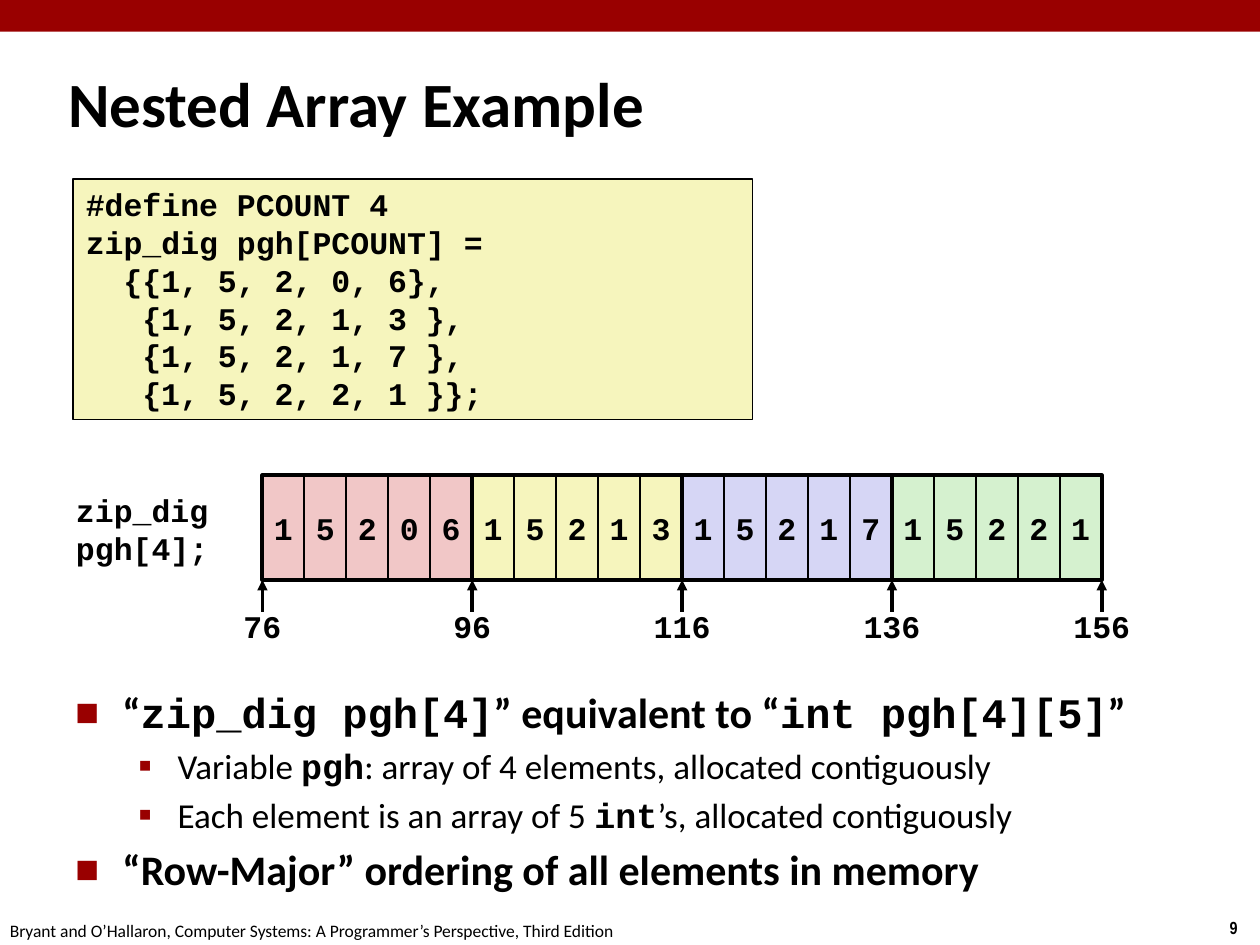
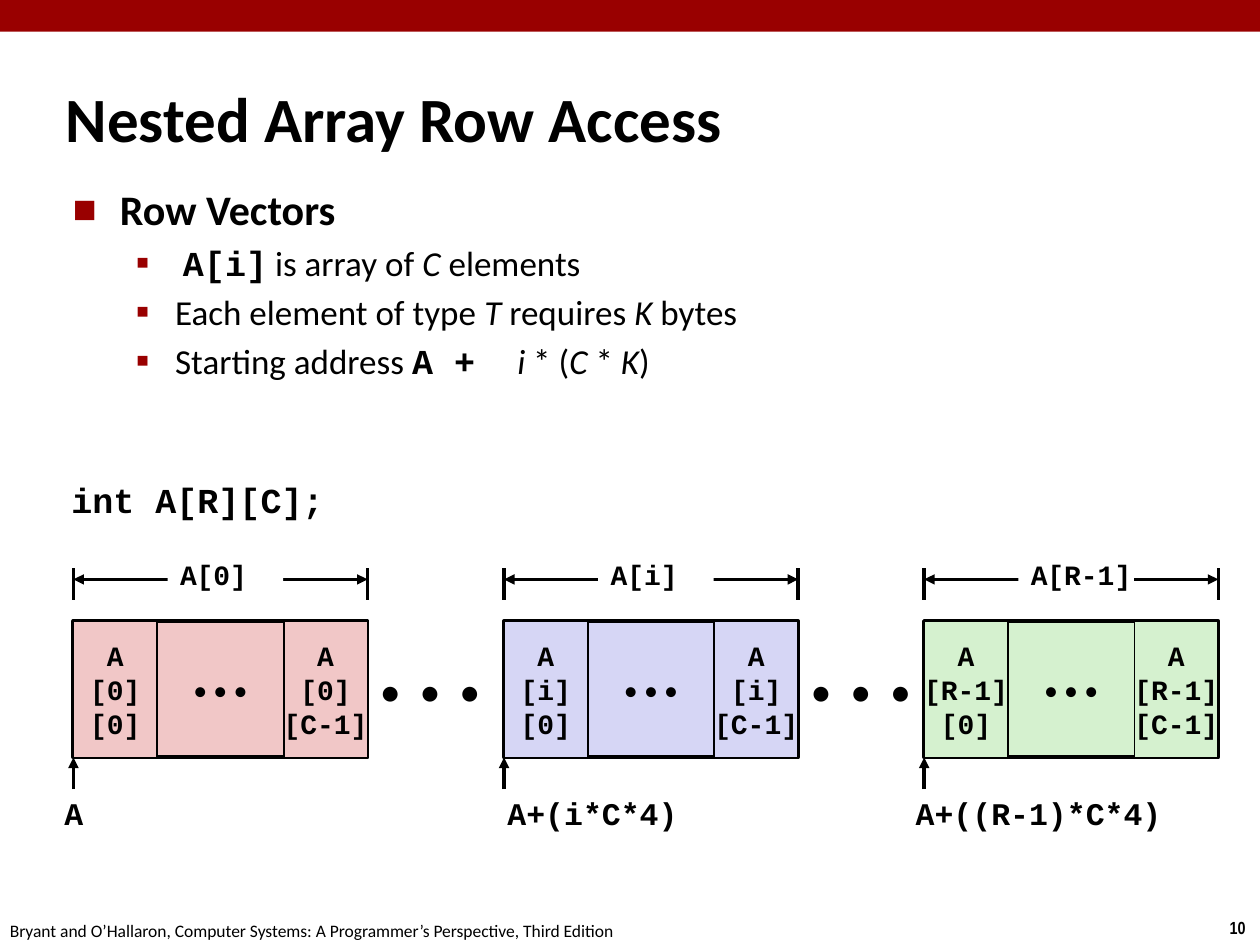
from collections import namedtuple
from dataclasses import dataclass

from lxml.etree import SubElement
from pptx import Presentation
from pptx.dml.color import RGBColor
from pptx.enum.shapes import MSO_CONNECTOR, MSO_SHAPE
from pptx.enum.text import MSO_ANCHOR, MSO_AUTO_SIZE, PP_ALIGN
from pptx.oxml.ns import qn
from pptx.util import Cm, Pt


@dataclass(frozen=True)
class Theme:
    accent: RGBColor = RGBColor(0x99, 0x00, 0x00)
    ink: RGBColor = RGBColor(0x00, 0x00, 0x00)
    paper: RGBColor = RGBColor(0xFF, 0xFF, 0xFF)
    red: RGBColor = RGBColor(0xF1, 0xC7, 0xC7)
    yellow: RGBColor = RGBColor(0xF6, 0xF5, 0xBD)
    blue: RGBColor = RGBColor(0xD6, 0xD6, 0xF5)
    green: RGBColor = RGBColor(0xD5, 0xF1, 0xCF)
    text_font: str = "Calibri"
    code_font: str = "Courier New"
    number_font: str = "Arial Narrow"
    title_size: int = 36
    topic_size: int = 24
    detail_size: int = 20
    code_size: int = 18
    cell_size: int = 16
    footer_size: int = 10
    thin: float = 1
    arrow: float = 2
    thick: float = 2.25


THEME = Theme()
FOOTER = "Bryant and O’Hallaron, Computer Systems: A Programmer’s Perspective, Third Edition"
CODE_CHARACTER = 0.38

Span = namedtuple("Span", "text font bold italic tracking")
BulletStyle = namedtuple("BulletStyle", "size bold margin hanging symbol scale")
BULLETS = [
    BulletStyle(THEME.topic_size, True, 0.95, 0.95, "■", 60),
    BulletStyle(THEME.detail_size, False, 2.06, 0.79, "▪", 110),
]


def plain(text):
    return Span(text, THEME.text_font, False, False, 0)


def italic(text):
    return Span(text, THEME.text_font, False, True, 0)


def code(text, tracking=0):
    return Span(text, THEME.code_font, True, False, tracking)


def style_font(font, name, size, bold=False, italic=False):
    font.name = name
    font.size = Pt(size)
    font.bold = bold
    font.italic = italic
    font.color.rgb = THEME.ink


def track(run, points):
    run._r.get_or_add_rPr().set("spc", str(int(points * 100)))


def write(shape, lines, size, font=THEME.code_font, bold=True,
          align=PP_ALIGN.LEFT, anchor=MSO_ANCHOR.TOP, wrap=False):
    frame = shape.text_frame
    frame.word_wrap = wrap
    frame.auto_size = MSO_AUTO_SIZE.NONE
    frame.vertical_anchor = anchor
    frame.text = "\n".join(lines)
    for paragraph in frame.paragraphs:
        paragraph.alignment = align
        style_font(paragraph.font, font, size, bold)
    return frame


def add_label(slide, left, top, width, height, lines, size, **options):
    box = slide.shapes.add_textbox(Cm(left), Cm(top), Cm(width), Cm(height))
    return write(box, lines, size, **options)


def add_box(slide, left, top, width, height, fill=None, line=None):
    box = slide.shapes.add_shape(
        MSO_SHAPE.RECTANGLE, Cm(left), Cm(top), Cm(width), Cm(height))
    box.shadow.inherit = False
    if fill is None:
        box.fill.background()
    else:
        box.fill.solid()
        box.fill.fore_color.rgb = fill
    if line is None:
        box.line.fill.background()
    else:
        box.line.color.rgb = THEME.ink
        box.line.width = Pt(line)
    return box


def add_cell(slide, left, top, width, height, fill, lines, size):
    cell = add_box(slide, left, top, width, height, fill, THEME.thin)
    write(cell, lines, size, align=PP_ALIGN.CENTER, anchor=MSO_ANCHOR.MIDDLE)


def add_line(slide, start, end, arrows=()):
    line = slide.shapes.add_connector(
        MSO_CONNECTOR.STRAIGHT, *(Cm(value) for value in (*start, *end)))
    line.line.color.rgb = THEME.ink
    line.line.width = Pt(THEME.arrow)
    for arrow in arrows:
        SubElement(line.line._get_or_add_ln(), qn(f"a:{arrow}"), type="triangle")
    SubElement(line._element.spPr, qn("a:effectLst"))


def add_pointer(slide, x, block_bottom):
    add_line(slide, (x, block_bottom + 0.64), (x, block_bottom), ["tailEnd"])


def add_bullet_mark(paragraph, style):
    properties = paragraph._p.get_or_add_pPr()
    properties.set("marL", str(Cm(style.margin)))
    properties.set("indent", str(-Cm(style.hanging)))
    color = SubElement(properties, qn("a:buClr"))
    SubElement(color, qn("a:srgbClr"), val=str(THEME.accent))
    SubElement(properties, qn("a:buSzPct"), val=str(style.scale * 1000))
    SubElement(properties, qn("a:buFont"), typeface=THEME.text_font)
    SubElement(properties, qn("a:buChar"), char=style.symbol)


def add_bullets(slide, left, top, width, height, items):
    box = slide.shapes.add_textbox(Cm(left), Cm(top), Cm(width), Cm(height))
    frame = box.text_frame
    frame.word_wrap = True
    for index, (level, spans) in enumerate(items):
        paragraph = frame.add_paragraph() if index else frame.paragraphs[0]
        style = BULLETS[level]
        paragraph.level = level
        paragraph.space_before = Pt(style.size * 0.2)
        add_bullet_mark(paragraph, style)
        for span in spans:
            run = paragraph.add_run()
            run.text = span.text
            style_font(run.font, span.font, style.size,
                       span.bold or style.bold, span.italic)
            if span.tracking:
                track(run, span.tracking)


def add_titled_slide(presentation, title, left, top, width, number):
    slide = presentation.slides.add_slide(presentation.slide_layouts[5])
    add_box(slide, 0, 0, 25.4, 0.64, THEME.accent)
    add_label(slide, 24.54, 18.36, 0.86, 0.68, [str(number)],
              THEME.footer_size, font=THEME.number_font)
    add_label(slide, -0.05, 18.42, 12.9, 0.68, [FOOTER],
              THEME.footer_size, font=THEME.text_font, bold=False)
    heading = slide.shapes.title
    heading.left, heading.top = Cm(left), Cm(top)
    heading.width, heading.height = Cm(width), Cm(1.6)
    write(heading, [title], THEME.title_size, font=THEME.text_font,
          anchor=MSO_ANCHOR.MIDDLE, wrap=True)
    return slide


def add_code_box(slide, left, top, width, height, indented_lines):
    box = add_box(slide, left, top, width, height, THEME.yellow, THEME.thin)
    frame = write(box, [line for _, line in indented_lines],
                  THEME.code_size, wrap=True)
    for paragraph, (columns, _) in zip(frame.paragraphs, indented_lines):
        margin = Cm(columns * CODE_CHARACTER)
        paragraph._p.get_or_add_pPr().set("marL", str(margin))


def add_memory_strip(slide, rows, first_address):
    left, top, row_width, height = 5.29, 9.58, 4.23, 2.11
    fills = [THEME.red, THEME.yellow, THEME.blue, THEME.green]
    cell_width = row_width / len(rows[0])
    row_lefts = [left + index * row_width for index in range(len(rows) + 1)]
    for row_left, digits, fill in zip(row_lefts, rows, fills):
        for column, digit in enumerate(digits):
            add_cell(slide, row_left + column * cell_width, top, cell_width,
                     height, fill, [digit], THEME.code_size)
    for row_left in row_lefts[:-1]:
        add_box(slide, row_left, top, row_width, height, line=THEME.thick)
    for index, x in enumerate(row_lefts):
        add_pointer(slide, x, top + height)
        add_label(slide, x - 0.83, 12.12, 1.66, 1.02,
                  [str(first_address + 20 * index)], THEME.code_size,
                  align=PP_ALIGN.CENTER)


def add_row_block(slide, left, fill, row):
    top, width, height, cell_width = 12.52, 5.93, 2.75, 1.69
    right = left + width
    block = add_box(slide, left, top, width, height, fill, THEME.thick)
    write(block, ["• • •"], THEME.cell_size, font=THEME.text_font, bold=False,
          align=PP_ALIGN.CENTER, anchor=MSO_ANCHOR.MIDDLE)
    for cell_left, column in ((left, "0"), (right - cell_width, "C-1")):
        add_cell(slide, cell_left, top, cell_width, height, fill,
                 ["A", f"[{row}]", f"[{column}]"], THEME.cell_size)
    for x in (left, right):
        add_line(slide, (x, 11.46), (x, 12.09))
    add_line(slide, (left, 11.68), (right, 11.68), ["headEnd", "tailEnd"])
    name = add_box(slide, left + 1.9, 11.05, 2.33, 1.06, THEME.paper)
    write(name, [f"A[{row}]"], THEME.cell_size, anchor=MSO_ANCHOR.MIDDLE)
    add_pointer(slide, left, top + height)


def add_gap_dots(slide, left):
    frame = add_label(slide, left, 12.52, 2.75, 2.75, ["• • •"],
                      THEME.topic_size, font=THEME.text_font, bold=False,
                      anchor=MSO_ANCHOR.MIDDLE)
    track(frame.paragraphs[0].runs[0], 2.7)


def build_example_slide(presentation):
    slide = add_titled_slide(
        presentation, "Nested Array Example", 1.12, 1.27, 17.7, 9)
    add_code_box(slide, 1.48, 3.61, 13.69, 4.85, [
        (0, "#define PCOUNT 4"),
        (0, "zip_dig pgh[PCOUNT] ="),
        (2, "{{1, 5, 2, 0, 6},"),
        (3, "{1, 5, 2, 1, 3 },"),
        (3, "{1, 5, 2, 1, 7 },"),
        (3, "{1, 5, 2, 2, 1 }};"),
    ])
    add_label(slide, 1.27, 9.78, 3.18, 1.78, ["zip_dig", "pgh[4];"],
              THEME.code_size, align=PP_ALIGN.RIGHT)
    add_memory_strip(slide, ["15206", "15213", "15217", "15221"], 76)
    add_bullets(slide, 1.27, 13.72, 22.23, 5.28, [
        (0, [plain("“"), code("zip_dig pgh[4]"), plain("” equivalent to “"),
             code("int pgh[4][5]"), plain("”")]),
        (1, [plain("Variable "), code("pgh"),
             plain(": array of 4 elements, allocated contiguously")]),
        (1, [plain("Each element is an array of 5 "), code("int"),
             plain("’s, allocated contiguously")]),
        (0, [plain("“Row-Major” ordering of all elements in memory")]),
    ])


def build_row_access_slide(presentation):
    slide = add_titled_slide(
        presentation, "Nested Array Row Access", 1.07, 1.57, 19.25, 10)
    add_bullets(slide, 1.22, 3.58, 16.56, 4.04, [
        (0, [plain("Row Vectors")]),
        (1, [plain(" "), code("A[i]"), plain(" is array of "), italic("C"),
             plain(" elements")]),
        (1, [plain("Each element of type "), italic("T "),
             plain("requires "), italic("K "), plain("bytes")]),
        (1, [plain("Starting address "), code("A +"), code(" ", 12),
             italic("i"), plain(" * ("), italic("C "), plain("* "),
             italic("K"), plain(")")]),
    ])
    add_label(slide, 1.19, 9.53, 5.59, 1.09, ["int A[R][C];"],
              THEME.detail_size, align=PP_ALIGN.RIGHT)
    for left in (7.41, 16.09):
        add_gap_dots(slide, left)
    blocks = [
        (1.48, THEME.red, "0", 1.05, "A"),
        (10.16, THEME.blue, "i", 9.98, "A+(i*C*4)"),
        (18.63, THEME.green, "R-1", 18.21, "A+((R-1)*C*4)"),
    ]
    for left, fill, row, address_left, address in blocks:
        add_row_block(slide, left, fill, row)
        add_label(slide, address_left, 15.88, 6.35, 1.02, [address],
                  THEME.code_size, wrap=True)


def main():
    presentation = Presentation()
    presentation.slide_width, presentation.slide_height = Cm(25.4), Cm(19.05)
    build_example_slide(presentation)
    build_row_access_slide(presentation)
    presentation.save("out.pptx")


if __name__ == "__main__":
    main()
